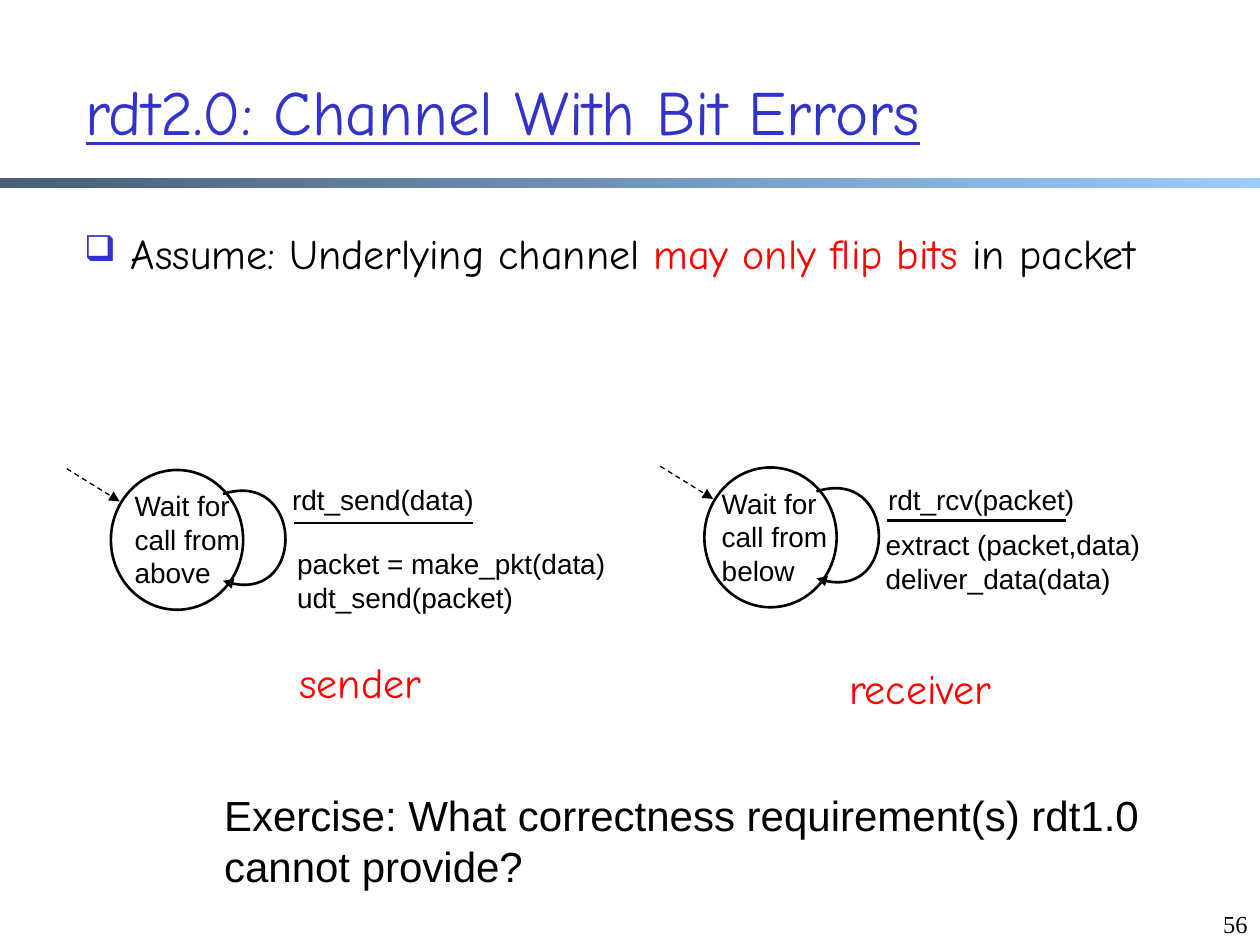
"""Build the slide on rdt2.0 and a channel with bit errors."""
from lxml import etree
from pptx import Presentation, util as u
from pptx.dml.color import RGBColor
from pptx.enum import dml, shapes, text
from pptx.oxml.ns import qn

Inches = u.Inches
color = RGBColor.from_string
BLACK, RED, BLUE = "000000", "FF0000", "3333CC"


def write(shape, lines, size, font, wrap=True):
    frame = shape.text_frame
    frame.word_wrap = wrap
    for index, runs in enumerate(lines):
        paragraph = frame.paragraphs[0] if index == 0 else frame.add_paragraph()
        for words, shade in runs:
            run = paragraph.add_run()
            run.text = words
            run.font.size = u.Pt(size)
            run.font.name = font
            run.font.color.rgb = color(shade)
    return frame


def style_line(shape, width, dashed=False, arrow=False):
    shape.line.color.rgb = color(BLACK)
    shape.line.width = u.Pt(width)
    if dashed:
        shape.line.dash_style = dml.MSO_LINE.DASH
    if arrow:
        etree.SubElement(shape.line._get_or_add_ln(), qn("a:tailEnd"), type="triangle")
    if shape.shape_type == shapes.MSO_SHAPE_TYPE.LINE:
        etree.SubElement(shape._element.spPr, qn("a:effectLst"))
    else:
        shape.shadow.inherit = False


presentation = Presentation()
presentation.slide_width, presentation.slide_height = Inches(10), Inches(7.5)
slide = presentation.slides.add_slide(presentation.slide_layouts[5])
items = slide.shapes

bar = items.add_shape(shapes.MSO_SHAPE.RECTANGLE, 0, Inches(1.41), Inches(10), Inches(0.08))
bar.shadow.inherit = False
bar.line.fill.background()
bar.fill.gradient()
bar.fill.gradient_angle = 0
for stop, shade in zip(bar.fill.gradient_stops, ("475E76", "99CCFF")):
    stop.color.rgb = color(shade)

title = items.title
title.left, title.top, title.width, title.height = map(Inches, (0.58, 0.25, 8.75, 1.25))
frame = write(title, [[("rdt2.0: Channel With Bit Errors", BLUE)]], 36, "Comic Neue")
frame.vertical_anchor = text.MSO_ANCHOR.MIDDLE
frame.paragraphs[0].alignment = text.PP_ALIGN.LEFT
frame.paragraphs[0].runs[0].font.underline = True

body = items.add_textbox(Inches(0.57), Inches(1.76), Inches(9.18), Inches(5.45))
assumption = [("Assume: Underlying channel ", BLACK), ("may only flip bits", RED), (" in packet", BLACK)]
frame = write(body, [assumption], 24, "Comic Neue")
properties = frame.paragraphs[0]._p.get_or_add_pPr()
properties.set("marL", str(Inches(0.37)))
properties.set("indent", str(-Inches(0.37)))
bullet_color = etree.SubElement(properties, qn("a:buClr"))
etree.SubElement(bullet_color, qn("a:srgbClr"), val=BLUE)
etree.SubElement(properties, qn("a:buSzPct"), val="85000")
etree.SubElement(properties, qn("a:buChar"), char="❑")

for dx, dy in ((0, 0), (4.71, -0.02)):
    state = items.add_shape(shapes.MSO_SHAPE.OVAL, Inches(0.88 + dx), Inches(3.73 + dy), Inches(1.05), Inches(1.11))
    state.fill.solid()
    state.fill.fore_color.rgb = color("FFFFFF")
    style_line(state, 1.5)

    start, *others = [
        (Inches(x + dx), Inches(y + dy)) for x, y in ((1.77, 3.92), (2.4, 3.72), (2.44, 4.84), (1.77, 4.61))
    ]
    builder = items.build_freeform(*start)
    builder.add_line_segments(others, close=False)
    loop = builder.convert_to_shape()
    outline = loop._element.find(".//" + qn("a:path"))
    curve = etree.SubElement(outline, qn("a:cubicBezTo"))
    for segment in outline.findall(qn("a:lnTo")):
        curve.append(segment[0])
        outline.remove(segment)
    loop.fill.background()
    style_line(loop, 1.5, arrow=True)

    for x1, y1, x2, y2, width, initial in (
        (2.33, 4.15, 3.75, 4.15, 1.5, False),
        (0.53, 3.72, 0.95, 3.98, 0.75, True),
    ):
        ends = [Inches(value) for value in (x1 + dx, y1 + dy, x2 + dx, y2 + dy)]
        connector = items.add_connector(shapes.MSO_CONNECTOR.STRAIGHT, *ends)
        style_line(connector, width, dashed=initial, arrow=initial)

labels = (
    (0.97, 3.83, 1.2, 1, ["Wait for call from above"], 16, "Arial", BLACK, True),
    (2.26, 4.29, 2.93, 0.65, ["packet = make_pkt(data)", "udt_send(packet)"], 16, "Arial", BLACK, True),
    (2.22, 3.78, 2.47, 0.47, ["rdt_send(data)"], 16, "Arial", BLACK, True),
    (2.28, 5.16, 1.26, 0.5, ["sender"], 24, "Comic Neue", RED, False),
    (5.63, 3.81, 1.2, 1, ["Wait for call from below"], 16, "Arial", BLACK, True),
    (6.93, 4.14, 2.72, 0.47, ["extract (packet,data)", "deliver_data(data)"], 16, "Arial", BLACK, True),
    (6.95, 3.78, 1.69, 0.37, ["rdt_rcv(packet)"], 16, "Arial", BLACK, False),
    (6.64, 5.21, 1.49, 0.5, ["receiver"], 24, "Comic Neue", RED, False),
    (1.68, 6.22, 7.54, 0.91, ["Exercise: What correctness requirement(s) rdt1.0", "cannot provide?"],
     24, "Arial", BLACK, False),
)
for x, y, width, height, lines, size, font, shade, wrap in labels:
    label = items.add_textbox(Inches(x), Inches(y), Inches(width), Inches(height))
    write(label, [[(line, shade)] for line in lines], size, font, wrap)

number = items.add_textbox(Inches(7.67), Inches(7), Inches(2.33), Inches(0.5))
frame = write(number, [[("56", BLACK)]], 14, "Times New Roman")
frame.vertical_anchor = text.MSO_ANCHOR.BOTTOM
frame.paragraphs[0].alignment = text.PP_ALIGN.RIGHT

presentation.save("out.pptx")
